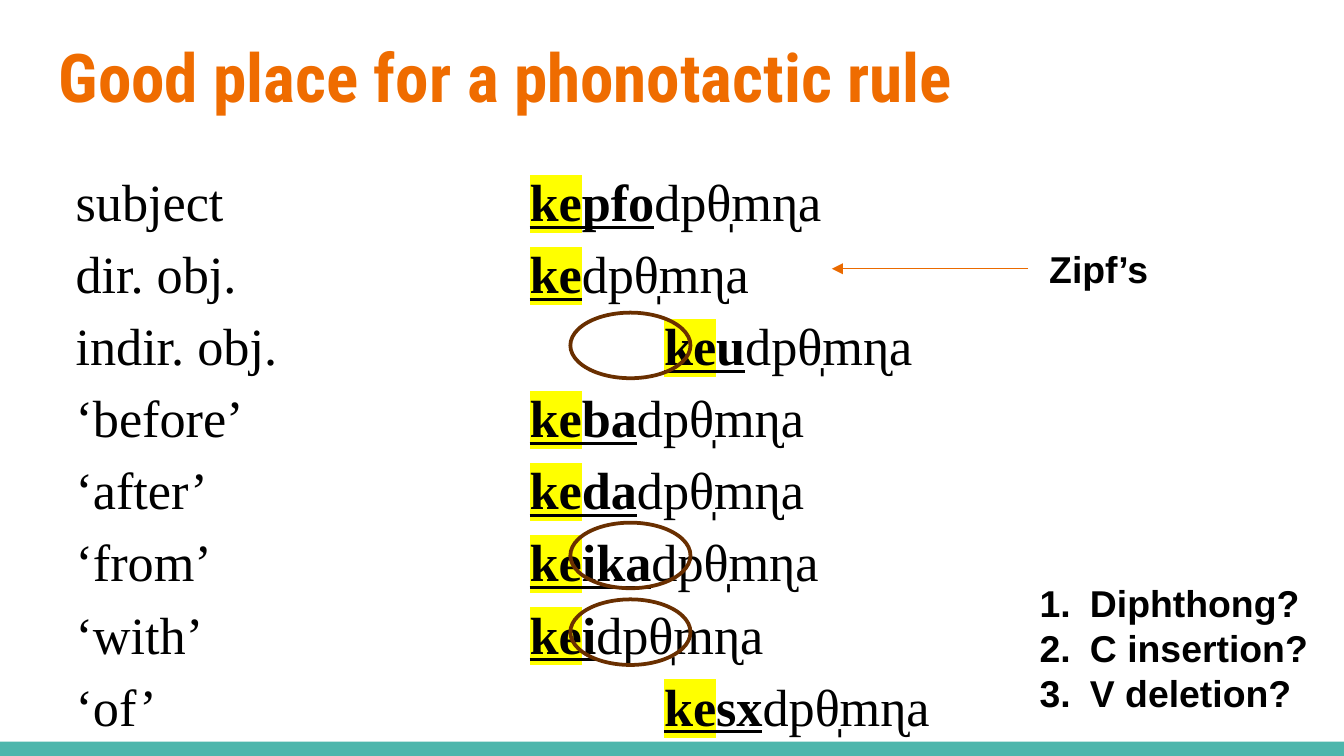
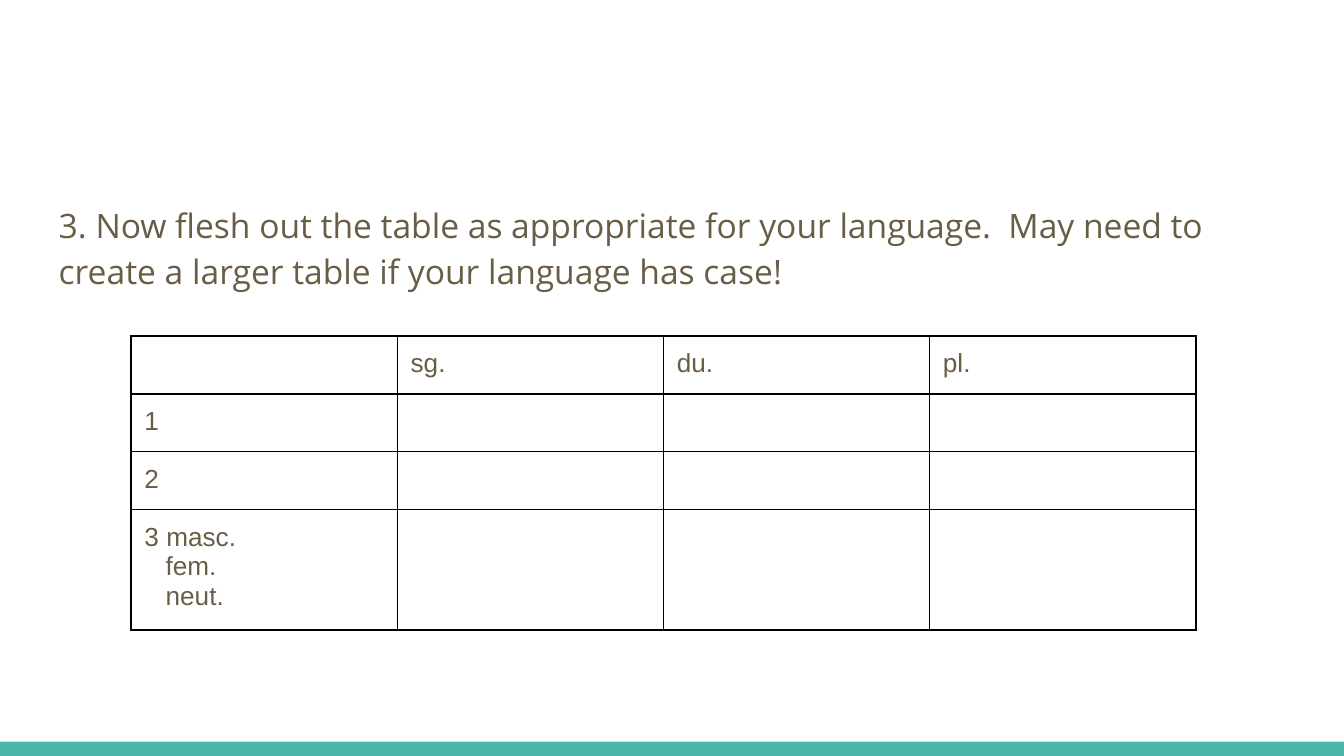
from dataclasses import dataclass

import lxml.etree
import pptx
import pptx.dml.color
import pptx.enum.shapes
import pptx.enum.text
import pptx.oxml.ns
import pptx.util
from pptx.util import Cm


@dataclass(frozen=True)
class Theme:
    title: str = "EF6C00"
    band: str = "4DB6AC"
    ink: str = "000000"
    prose: str = "695D46"
    arrow: str = "EA6A00"
    ring: str = "692F00"
    marker: str = "FFFF00"
    heading_font: str = "Roboto Condensed"
    prose_font: str = "Open Sans"
    label_font: str = "Arial"
    example_font: str = "Times New Roman"
    title_size: int = 36
    example_size: int = 28
    label_size: int = 20
    prose_size: int = 18
    table_size: int = 14


@dataclass(frozen=True)
class Box:
    left: float
    top: float
    width: float
    height: float

    def lengths(self) -> tuple:
        return Cm(self.left), Cm(self.top), Cm(self.width), Cm(self.height)


@dataclass(frozen=True)
class CaseForm:
    gloss: str
    suffix: str
    tab: float


THEME = Theme()
SLIDE_WIDTH, SLIDE_HEIGHT = 25.4, 14.29
BAND_HEIGHT = 0.27
INSET = 0.25
LINE_SPACING = 1.15

NEAR_TAB, FAR_TAB = 8.58, 11.12
PREFIX, STEM = "ke", "dpθ̩mɳa"
CASE_FORMS = (
    CaseForm("subject", "pfo", NEAR_TAB),
    CaseForm("dir. obj.", "", NEAR_TAB),
    CaseForm("indir. obj.", "u", FAR_TAB),
    CaseForm("‘before’", "ba", NEAR_TAB),
    CaseForm("‘after’", "da", NEAR_TAB),
    CaseForm("‘from’", "ika", NEAR_TAB),
    CaseForm("‘with’", "i", NEAR_TAB),
    CaseForm("‘of’", "sx", FAR_TAB),
)
RING_TOPS = (5.91, 9.88, 11.33)
REPAIRS = ("Diphthong?", "C insertion?", "V deletion?")

NUMBERS = ("sg.", "du.", "pl.")
PERSONS = (("1",), ("2",), ("3 masc.", "fem.", "neut."))
COLUMN_WIDTH = 5.03
ROW_HEIGHTS = (1.06, 1.06, 1.06, 2.17)
GENDER_INDENT = 0.4


def rgb(color: str) -> pptx.dml.color.RGBColor:
    return pptx.dml.color.RGBColor.from_string(color)


def add_element(parent, tag: str, **attributes: str):
    name = pptx.oxml.ns.qn(f"a:{tag}")
    return lxml.etree.SubElement(parent, name, **attributes)


def write(paragraph, text: str, *, size: int, font: str, color: str = THEME.ink,
          bold: bool = False, underline: bool = False, highlight: str = "") -> None:
    run = paragraph.add_run()
    run.text = text
    run.font.size = pptx.util.Pt(size)
    run.font.name = font
    run.font.bold = bold
    run.font.underline = underline
    run.font.color.rgb = rgb(color)
    if highlight:
        properties = run.font._element
        marker = add_element(properties, "highlight")
        add_element(marker, "srgbClr", val=highlight)
        properties.find(pptx.oxml.ns.qn("a:latin")).addprevious(marker)


def next_paragraph(frame, index: int):
    return frame.add_paragraph() if index else frame.paragraphs[0]


def set_insets(frame, inset: float) -> None:
    frame.margin_left = frame.margin_right = Cm(inset)
    frame.margin_top = frame.margin_bottom = Cm(inset)


def add_body(slide, box: Box):
    frame = slide.shapes.add_textbox(*box.lengths()).text_frame
    frame.word_wrap = True
    set_insets(frame, INSET)
    return frame


def add_label(slide, box: Box):
    """Add a box for side notes that grows with its text."""
    frame = slide.shapes.add_textbox(*box.lengths()).text_frame
    frame.word_wrap = False
    frame.auto_size = pptx.enum.text.MSO_AUTO_SIZE.SHAPE_TO_FIT_TEXT
    return frame


def add_band(slide) -> None:
    box = Box(0, SLIDE_HEIGHT - BAND_HEIGHT, SLIDE_WIDTH, BAND_HEIGHT)
    band = slide.shapes.add_shape(pptx.enum.shapes.MSO_SHAPE.RECTANGLE, *box.lengths())
    band.shadow.inherit = False
    band.fill.solid()
    band.fill.fore_color.rgb = rgb(THEME.band)
    band.line.fill.background()


def set_title(slide, text: str) -> None:
    title = slide.shapes.title
    title.left, title.top, title.width, title.height = Box(0.86, 0.41, 23.67, 1.96).lengths()
    frame = title.text_frame
    frame.word_wrap = True
    frame.auto_size = pptx.enum.text.MSO_AUTO_SIZE.NONE
    frame.vertical_anchor = pptx.enum.text.MSO_ANCHOR.TOP
    set_insets(frame, INSET)
    paragraph = frame.paragraphs[0]
    paragraph.alignment = pptx.enum.text.PP_ALIGN.LEFT
    write(paragraph, text, size=THEME.title_size, font=THEME.heading_font,
          color=THEME.title, bold=True)


def add_case_forms(slide) -> None:
    frame = add_body(slide, Box(0.86, 2.77, 23.67, 9.17))
    frame.margin_left = Cm(0.57)
    style = dict(size=THEME.example_size, font=THEME.example_font)
    for index, form in enumerate(CASE_FORMS):
        paragraph = next_paragraph(frame, index)
        paragraph.line_spacing = LINE_SPACING
        tabs = add_element(paragraph._p.get_or_add_pPr(), "tabLst")
        add_element(tabs, "tab", pos=str(Cm(form.tab)), algn="l")
        write(paragraph, form.gloss + "\t", **style)
        write(paragraph, PREFIX, bold=True, underline=True,
              highlight=THEME.marker, **style)
        if form.suffix:
            write(paragraph, form.suffix, bold=True, underline=True, **style)
        write(paragraph, STEM, **style)


def add_arrow(slide, start: float, end: float, height: float) -> None:
    arrow = slide.shapes.add_connector(
        pptx.enum.shapes.MSO_CONNECTOR.STRAIGHT,
        Cm(start), Cm(height), Cm(end), Cm(height))
    arrow.line.color.rgb = rgb(THEME.arrow)
    arrow.line.width = pptx.util.Pt(0.75)
    add_element(arrow.line._get_or_add_ln(), "tailEnd", type="triangle")
    add_element(arrow._element.spPr, "effectLst")


def add_ring(slide, top: float) -> None:
    ring = slide.shapes.add_shape(
        pptx.enum.shapes.MSO_SHAPE.OVAL, *Box(10.78, top, 2.27, 1.24).lengths())
    ring.shadow.inherit = False
    ring.fill.background()
    ring.line.color.rgb = rgb(THEME.ring)
    ring.line.width = pptx.util.Pt(2)


def add_repairs(slide) -> None:
    frame = add_label(slide, Box(19.4, 10.85, 5.64, 2.82))
    for index, repair in enumerate(REPAIRS):
        paragraph = next_paragraph(frame, index)
        properties = paragraph._p.get_or_add_pPr()
        properties.set("marL", str(Cm(0.95)))
        properties.set("indent", str(Cm(-0.95)))
        bullet_color = add_element(properties, "buClr")
        add_element(bullet_color, "srgbClr", val=THEME.ink)
        add_element(properties, "buAutoNum", type="arabicPeriod")
        write(paragraph, repair, size=THEME.label_size, font=THEME.label_font, bold=True)


def format_cell(cell) -> None:
    """Clear the fill and outline all four sides."""
    properties = cell._tc.get_or_add_tcPr()
    for side in ("lnL", "lnR", "lnT", "lnB"):
        border = add_element(properties, side, w=str(pptx.util.Pt(1)))
        add_element(add_element(border, "solidFill"), "srgbClr", val=THEME.ink)
    cell.fill.background()


def fill_cell(cell, lines: tuple[str, ...]) -> None:
    format_cell(cell)
    cell.margin_left = cell.margin_right = Cm(INSET)
    cell.margin_top = cell.margin_bottom = Cm(INSET if lines else 0)
    for index, line in enumerate(lines):
        paragraph = next_paragraph(cell.text_frame, index)
        if index:
            paragraph._p.get_or_add_pPr().set("marL", str(Cm(GENDER_INDENT)))
        write(paragraph, line, size=THEME.table_size, font=THEME.label_font,
              color=THEME.prose)


def add_paradigm(slide) -> None:
    columns = len(NUMBERS) + 1
    box = Box(2.48, 6.35, COLUMN_WIDTH * columns, sum(ROW_HEIGHTS))
    table = slide.shapes.add_table(len(ROW_HEIGHTS), columns, *box.lengths()).table
    table.first_row = table.horz_banding = False
    for column in table.columns:
        column.width = Cm(COLUMN_WIDTH)
    for row, height in zip(table.rows, ROW_HEIGHTS):
        row.height = Cm(height)
    header = ((), *((number,) for number in NUMBERS))
    person_rows = ((person, *((),) * len(NUMBERS)) for person in PERSONS)
    for row, contents in zip(table.rows, (header, *person_rows)):
        for cell, lines in zip(row.cells, contents):
            fill_cell(cell, lines)


def build_rule_slide(presentation) -> None:
    slide = presentation.slides.add_slide(presentation.slide_layouts[5])
    add_band(slide)
    set_title(slide, "Good place for a phonotactic rule")
    add_case_forms(slide)
    add_arrow(slide, 19.43, 15.72, 5.08)
    label = add_label(slide, Box(19.58, 4.52, 2.41, 1.12))
    write(label.paragraphs[0], "Zipf’s", size=THEME.label_size,
          font=THEME.label_font, bold=True)
    for top in RING_TOPS:
        add_ring(slide, top)
    add_repairs(slide)


def build_paradigm_slide(presentation) -> None:
    slide = presentation.slides.add_slide(presentation.slide_layouts[6])
    add_band(slide)
    paragraph = add_body(slide, Box(0.86, 3.51, 23.67, 9.17)).paragraphs[0]
    paragraph.line_spacing = LINE_SPACING
    write(paragraph,
          "3. Now flesh out the table as appropriate for your language.  "
          "May need to create a larger table if your language has case!",
          size=THEME.prose_size, font=THEME.prose_font, color=THEME.prose)
    add_paradigm(slide)


def main() -> None:
    presentation = pptx.Presentation()
    presentation.slide_width = Cm(SLIDE_WIDTH)
    presentation.slide_height = Cm(SLIDE_HEIGHT)
    build_rule_slide(presentation)
    build_paradigm_slide(presentation)
    presentation.save("out.pptx")


if __name__ == "__main__":
    main()
